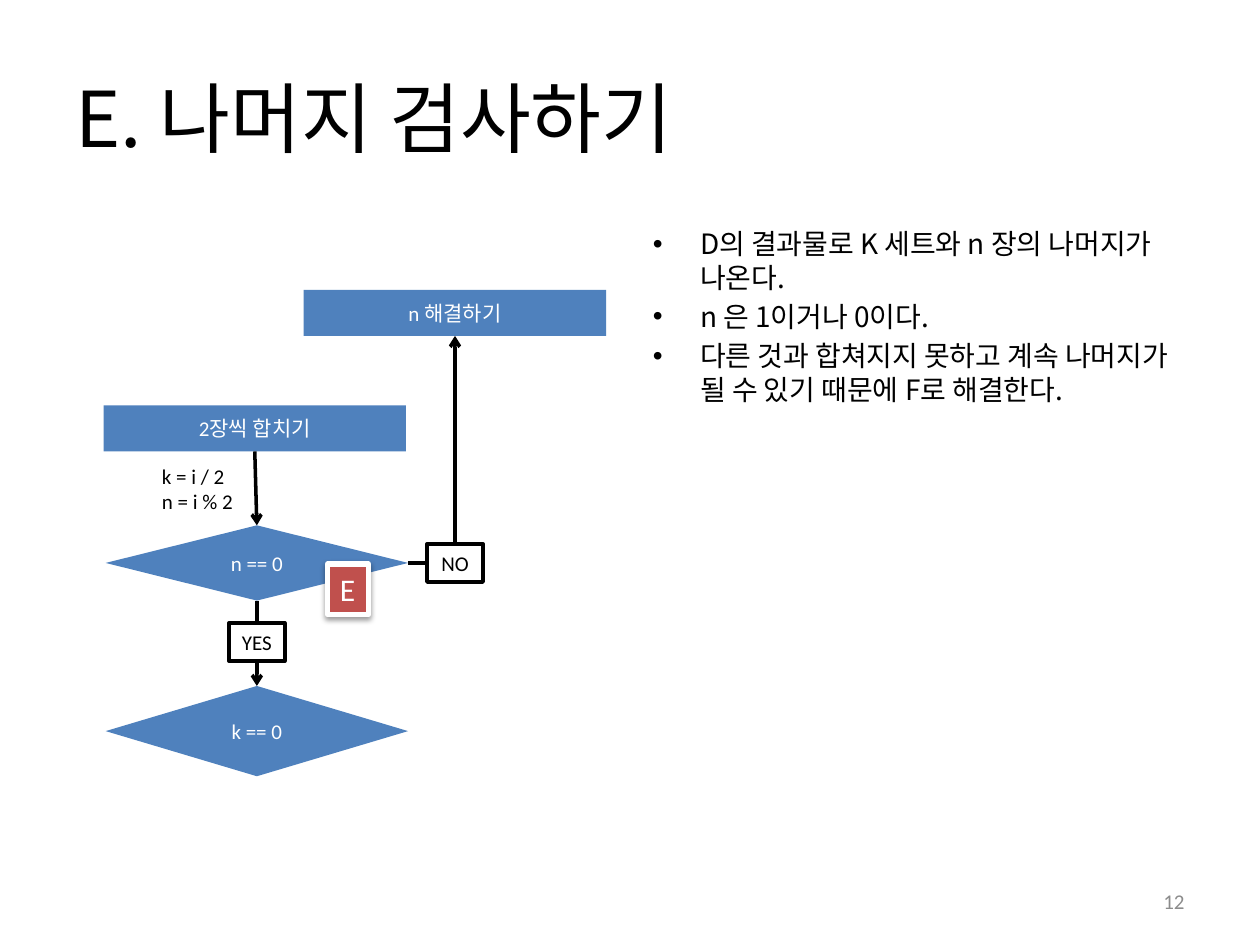
from lxml.etree import SubElement
from pptx import Presentation
from pptx.dml.color import RGBColor
from pptx.enum.shapes import MSO_CONNECTOR, MSO_SHAPE
from pptx.enum.text import MSO_ANCHOR, MSO_AUTO_SIZE, PP_ALIGN
from pptx.oxml.ns import qn
from pptx.util import Pt

COLORS = {"ink": "000000", "paper": "FFFFFF", "step": "4F81BD",
          "badge": "C0504D", "number": "8C8C8C"}
LATIN, KOREAN = "Calibri", "Noto Sans CJK KR"
TOP, LEFT, BOTTOM, RIGHT = range(4)


def rgb(name):
    return RGBColor.from_string(COLORS[name])


class FlowSlide:
    """Holds the slide, its shared text style and line width."""

    def __init__(self, presentation):
        self.slide = presentation.slides.add_slide(presentation.slide_layouts[6])
        self.small = 12
        self.stroke = 2

    def label(self, shape, text, size, color, font=LATIN, align=PP_ALIGN.LEFT,
              anchor=MSO_ANCHOR.TOP, wrap=True):
        frame = shape.text_frame
        frame.text = text
        frame.word_wrap = wrap
        frame.vertical_anchor = anchor
        for paragraph in frame.paragraphs:
            paragraph.alignment = align
            for run in paragraph.runs:
                run.font.size = Pt(size)
                run.font.name = font
                run.font.color.rgb = rgb(color)
                SubElement(run.font._element, qn("a:ea"), typeface=KOREAN)

    def text(self, box, text, size, color="ink", **style):
        shape = self.slide.shapes.add_textbox(*map(Pt, box))
        self.label(shape, text, size, color, **style)
        return shape

    def bullets(self, box, items, size):
        shape = self.text(box, "\n".join(items), size, font=KOREAN)
        for paragraph in shape.text_frame.paragraphs:
            paragraph.space_before = Pt(size * 0.2)
            properties = paragraph._p.get_or_add_pPr()
            properties.set("marL", str(Pt(27)))
            properties.set("indent", str(-Pt(27)))
            SubElement(properties, qn("a:buFont"), typeface="Arial")
            SubElement(properties, qn("a:buChar"), char="•")

    def block(self, kind, box, fill, outline=None, width=0):
        shape = self.slide.shapes.add_shape(kind, *map(Pt, box))
        shape.shadow.inherit = False
        shape.fill.solid()
        shape.fill.fore_color.rgb = rgb(fill)
        if outline:
            shape.line.color.rgb = rgb(outline)
            shape.line.width = Pt(width)
        else:
            shape.line.fill.background()
        return shape

    def step(self, kind, box, text):
        shape = self.block(kind, box, "step")
        self.label(shape, text, self.small, "paper", align=PP_ALIGN.CENTER,
                   anchor=MSO_ANCHOR.MIDDLE)
        return shape

    def answer(self, center_x, top, text):
        shape = self.block(MSO_SHAPE.RECTANGLE, (center_x - 16, top, 32, 21.8),
                           "paper", "ink", self.stroke)
        self.label(shape, text, self.small, "ink", align=PP_ALIGN.CENTER)
        shape.text_frame.auto_size = MSO_AUTO_SIZE.SHAPE_TO_FIT_TEXT

    def badge(self, box, text):
        shape = self.block(MSO_SHAPE.RECTANGLE, box, "badge", "paper", 3)
        self.label(shape, text, 18, "paper", wrap=False)
        shape.text_frame.auto_size = MSO_AUTO_SIZE.SHAPE_TO_FIT_TEXT
        effects = shape._element.spPr.find(qn("a:effectLst"))
        shadow = SubElement(effects, qn("a:outerShdw"), blurRad=str(Pt(3.1)),
                            dist=str(Pt(1.6)), dir="5400000", rotWithShape="0")
        tone = SubElement(shadow, qn("a:srgbClr"), val=COLORS["ink"])
        SubElement(tone, qn("a:alpha"), val="38000")

    def arrow(self, start, start_side, end, end_side, one_bend=False):
        kind = MSO_CONNECTOR.ELBOW if one_bend else MSO_CONNECTOR.STRAIGHT
        connector = self.slide.shapes.add_connector(kind, 0, 0, 0, 0)
        connector.begin_connect(start, start_side)
        connector.end_connect(end, end_side)
        connector.line.color.rgb = rgb("ink")
        connector.line.width = Pt(self.stroke)
        properties = connector._element.spPr
        SubElement(properties.find(qn("a:ln")), qn("a:tailEnd"), type="arrow")
        SubElement(properties, qn("a:effectLst"))
        if one_bend:
            properties.find(qn("a:prstGeom")).set("prst", "bentConnector2")


def main():
    presentation = Presentation()
    presentation.slide_width, presentation.slide_height = Pt(720), Pt(540)
    page = FlowSlide(presentation)

    page.text((36, 21.6, 648, 90), "E. 나머지 검사하기", 44, font=KOREAN,
              anchor=MSO_ANCHOR.MIDDLE)
    page.bullets((366, 126, 318, 356.4), [
        "D의 결과물로 K 세트와 n 장의 나머지가 나온다.",
        "n 은 1이거나 0이다.",
        "다른 것과 합쳐지지 못하고 계속 나머지가 될 수 있기 때문에 F로 해결한다.",
    ], 16)
    page.text((516, 500.5, 168, 28.75), "12", page.small, "number",
              align=PP_ALIGN.RIGHT, anchor=MSO_ANCHOR.MIDDLE)

    width, height = 172.8, 26.4
    merge = page.step(MSO_SHAPE.RECTANGLE, (59.2, 231.6, width, height), "2장씩 합치기")
    remainder = page.step(MSO_SHAPE.DIAMOND, (60.4, 300.2, width, 43), "n == 0")
    page.arrow(merge, BOTTOM, remainder, TOP)
    formulas = page.text((85.5, 261.3, 55.4, 36.3), "k = i / 2\nn = i % 2",
                         page.small, wrap=False)
    formulas.text_frame.auto_size = MSO_AUTO_SIZE.SHAPE_TO_FIT_TEXT
    page.badge((187.2, 322.2, 23.4, 29), "E")
    sets = page.step(MSO_SHAPE.DIAMOND, (60.4, 392, width, 51.6), "k == 0")
    page.arrow(remainder, BOTTOM, sets, TOP)
    solve = page.step(MSO_SHAPE.RECTANGLE, (173.6, 165.6, width, height), "n 해결하기")
    page.arrow(remainder, RIGHT, solve, BOTTOM, one_bend=True)
    page.answer(60.4 + width / 2, 356, "YES")
    page.answer(173.6 + width / 2, 310.8, "NO")

    presentation.save("out.pptx")


if __name__ == "__main__":
    main()
